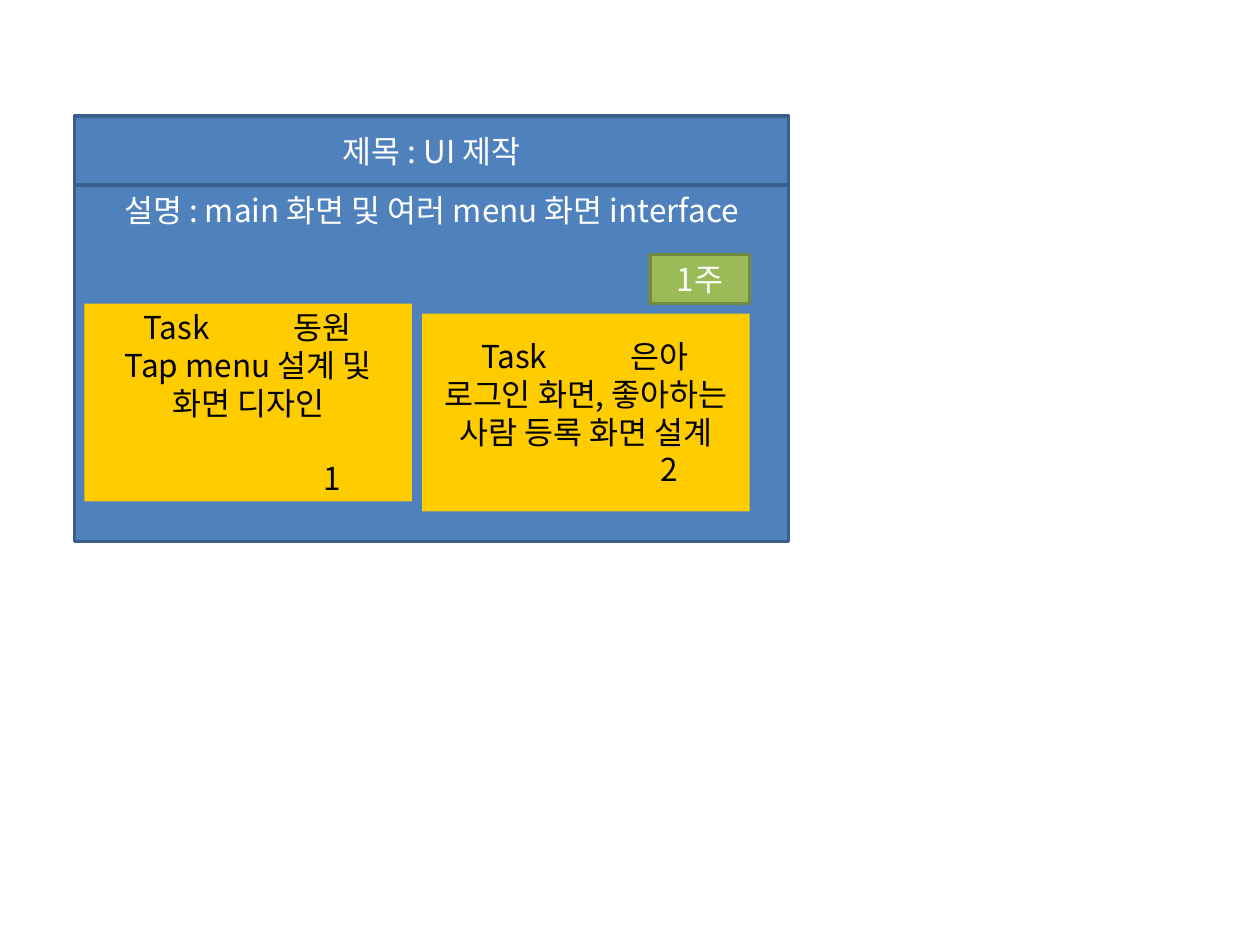
from dataclasses import dataclass

from lxml import etree
from pptx import Presentation
from pptx import util as u
from pptx.dml.color import RGBColor
from pptx.enum import shapes, text
from pptx.oxml.ns import qn


@dataclass(frozen=True)
class Theme:
    font: str = "Noto Sans CJK KR"
    size: float = 18
    line_spacing: float = 21.6
    line_width: float = 2
    blue: str = "4F81BD"
    blue_line: str = "3A5F8C"
    green: str = "9BBB59"
    green_line: str = "738A42"
    yellow: str = "FFCC00"
    white: str = "FFFFFF"
    black: str = "000000"


class StoryBoard:
    """Draws the story panel, its task cards and its duration badge."""

    def __init__(self, slide, theme):
        self.slide = slide
        self.theme = theme

    def box(self, parent, bounds, lines, fill, outline=None, color=None,
            anchor=text.MSO_ANCHOR.MIDDLE):
        shape = parent.add_shape(shapes.MSO_SHAPE.RECTANGLE, *map(u.Inches, bounds))
        shape.shadow.inherit = False
        shape.fill.solid()
        shape.fill.fore_color.rgb = RGBColor.from_string(fill)
        if outline:
            shape.line.color.rgb = RGBColor.from_string(outline)
            shape.line.width = u.Pt(self.theme.line_width)
        else:
            shape.line.fill.background()
        frame = shape.text_frame
        frame.word_wrap = True
        frame.vertical_anchor = anchor
        frame.text = "\n".join(lines)
        for paragraph in frame.paragraphs:
            self.format(paragraph, color or self.theme.white)
        return shape

    def format(self, paragraph, color):
        paragraph.alignment = text.PP_ALIGN.CENTER
        paragraph.line_spacing = u.Pt(self.theme.line_spacing)
        for run in paragraph.runs:
            run.font.name = self.theme.font
            run.font.size = u.Pt(self.theme.size)
            run.font.color.rgb = RGBColor.from_string(color)
            east_asian = etree.SubElement(run.font._element, qn("a:ea"))
            east_asian.set("typeface", self.theme.font)

    def panel(self, left, top, width, title, title_height, description, body_height):
        group = self.slide.shapes.add_group_shape().shapes
        colors = self.theme.blue, self.theme.blue_line
        self.box(group, (left, top, width, title_height), [title], *colors)
        self.box(group, (left, top + title_height, width, body_height), [description],
                 *colors, anchor=text.MSO_ANCHOR.TOP)

    def card(self, left, top, owner, task, number, gap):
        lines = [f"\tTask\t{owner}", task, number]
        shape = self.box(self.slide.shapes, (left, top, 2.6, 1.57), lines,
                         self.theme.yellow, color=self.theme.black)
        heading, _, footer = shape.text_frame.paragraphs
        heading.alignment = text.PP_ALIGN.LEFT
        tabs = etree.SubElement(heading._p.get_or_add_pPr(), qn("a:tabLst"))
        for position in (0.37, 1.56):
            etree.SubElement(tabs, qn("a:tab"), pos=str(u.Inches(position)), algn="l")
        footer.space_before = u.Pt(gap)
        footer._p.get_or_add_pPr().set("marL", str(u.Inches(1.33)))

    def badge(self, bounds, label):
        self.box(self.slide.shapes, bounds, [label], self.theme.green, self.theme.green_line)


def main():
    presentation = Presentation()
    presentation.slide_width = u.Inches(10)
    presentation.slide_height = u.Inches(7.5)
    slide = presentation.slides.add_slide(presentation.slide_layouts[6])
    theme = Theme()
    board = StoryBoard(slide, theme)
    board.panel(0.59, 0.92, 5.67, "제목 : UI 제작", 0.55,
                "설명 : main 화면 및 여러 menu 화면 interface", 2.83)
    board.card(0.67, 2.41, "동원", "Tap menu 설계 및 화면 디자인", "1", theme.line_spacing)
    board.card(3.35, 2.49, "은아", "로그인 화면, 좋아하는 사람 등록 화면 설계", "2", 0)
    board.badge((5.16, 2.02, 0.79, 0.39), "1주")
    presentation.save("out.pptx")


if __name__ == "__main__":
    main()
